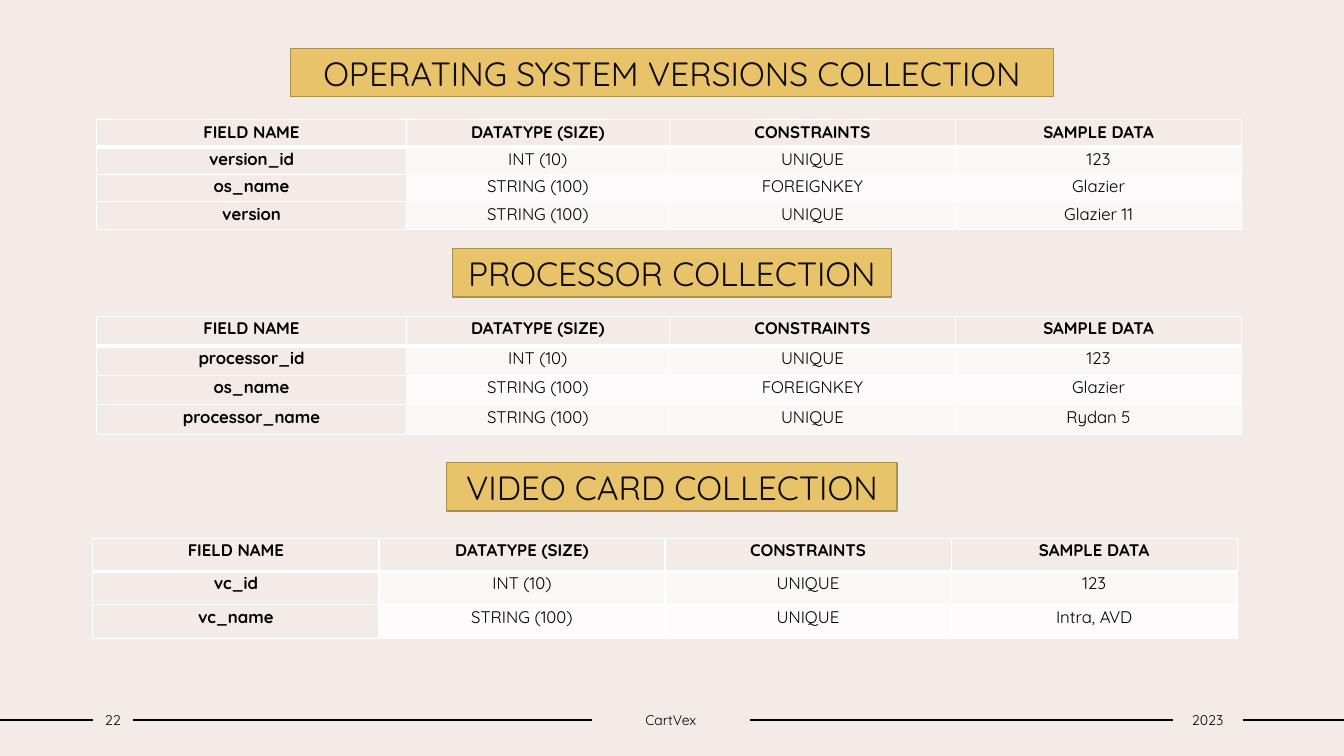
from lxml import etree
from pptx import Presentation, util as u
from pptx.dml.color import RGBColor
from pptx.enum import shapes, text
from pptx.oxml.ns import qn

FONT = "Quicksand"
BACKGROUND = RGBColor(0xF3, 0xEB, 0xE8)
BAND_ODD = RGBColor(0xFA, 0xF7, 0xF6)
BAND_EVEN = RGBColor(0xFD, 0xFB, 0xFB)
GOLD = RGBColor(0xE9, 0xC3, 0x69)
GOLD_EDGE = RGBColor(0xAC, 0x90, 0x4E)
BLACK = RGBColor(0, 0, 0)
HEADING_INK = RGBColor(0x0D, 0x0D, 0x0D)
WHITE = RGBColor(0xFF, 0xFF, 0xFF)

SLIDE_WIDTH, SLIDE_HEIGHT = 33.87, 19.05
HEADING_HEIGHT = 1.22
FOOTER_MIDDLE, FOOTER_HEIGHT = 18.14, 0.68

FIELDS = ["FIELD NAME", "DATATYPE (SIZE)", "CONSTRAINTS", "SAMPLE DATA"]
WIDE_FIRST = [7.8, 6.63, 7.21, 7.21]
EQUAL = [7.21] * 4

# heading, heading top, heading width, table left, table top, row height, columns, records
COLLECTIONS = [
    ("OPERATING SYSTEM VERSIONS COLLECTION", 1.22, 19.23, 2.44, 3.02, 0.69, WIDE_FIRST, [
        ["version_id", "INT (10)", "UNIQUE", "123"],
        ["os_name", "STRING (100)", "FOREIGNKEY", "Glazier"],
        ["version", "STRING (100)", "UNIQUE", "Glazier 11"],
    ]),
    ("PROCESSOR COLLECTION", 6.27, 11.07, 2.44, 7.98, 0.74, WIDE_FIRST, [
        ["processor_id", "INT (10)", "UNIQUE", "123"],
        ["os_name", "STRING (100)", "FOREIGNKEY", "Glazier"],
        ["processor_name", "STRING (100)", "UNIQUE", "Rydan 5"],
    ]),
    ("VIDEO CARD COLLECTION", 11.66, 11.35, 2.34, 13.56, 0.84, EQUAL, [
        ["vc_id", "INT (10)", "UNIQUE", "123"],
        ["vc_name", "STRING (100)", "UNIQUE", "Intra, AVD"],
    ]),
]

# footer text, left, width
FOOTER = [("22", 2.34, 1.01), ("CartVex", 14.91, 3.99), ("2023", 29.55, 1.77)]


class SlideBuilder:
    def __init__(self, presentation):
        self.slide = presentation.slides.add_slide(presentation.slide_layouts[5])
        fill = self.slide.background.fill
        fill.solid()
        fill.fore_color.rgb = BACKGROUND

    def add_words(self, frame, words, size, color=BLACK, bold=False):
        paragraph = frame.paragraphs[0]
        paragraph.alignment = text.PP_ALIGN.CENTER
        run = paragraph.add_run()
        run.text = words
        run.font.name = FONT
        run.font.size = u.Pt(size)
        run.font.bold = bold
        run.font.color.rgb = color
        return paragraph

    def heading(self, words, top, width, is_title):
        left = (SLIDE_WIDTH - width) / 2
        box = [u.Cm(value) for value in (left, top, width, HEADING_HEIGHT)]
        if is_title:
            shape = self.slide.shapes.title
            shape.left, shape.top, shape.width, shape.height = box
        else:
            shape = self.slide.shapes.add_shape(shapes.MSO_SHAPE.RECTANGLE, *box)
            shape.shadow.inherit = False
        shape.fill.solid()
        shape.fill.fore_color.rgb = GOLD
        shape.line.color.rgb = GOLD_EDGE
        shape.line.width = u.Pt(1)
        frame = shape.text_frame
        frame.auto_size = text.MSO_AUTO_SIZE.NONE
        frame.vertical_anchor = text.MSO_ANCHOR.MIDDLE
        self.add_words(frame, words, 24, HEADING_INK)

    def border(self, cell, side, width):
        line = etree.SubElement(cell._tc.get_or_add_tcPr(), qn("a:ln" + side), w=str(u.Pt(width)))
        fill = etree.SubElement(line, qn("a:solidFill"))
        etree.SubElement(fill, qn("a:srgbClr"), val=str(WHITE))

    def cell(self, cell, words, row, column):
        cell.margin_left = cell.margin_right = u.Cm(0.18)
        cell.margin_top = cell.margin_bottom = 0
        # The rule under the header is shared by the first two rows
        for side in "LRTB":
            under_header = (row, side) in ((0, "B"), (1, "T"))
            self.border(cell, side, 3 if under_header else 1)
        is_label = row == 0 or column == 0
        cell.fill.solid()
        cell.fill.fore_color.rgb = BACKGROUND if is_label else BAND_ODD if row % 2 else BAND_EVEN
        paragraph = self.add_words(cell.text_frame, words, 12, bold=is_label)
        paragraph.line_spacing = 1.07
        paragraph.space_after = u.Pt(8)

    def table(self, left, top, row_height, widths, rows):
        table = self.slide.shapes.add_table(
            len(rows), len(widths), u.Cm(left), u.Cm(top),
            u.Cm(sum(widths)), u.Cm(row_height * len(rows))).table
        for column, width in zip(table.columns, widths):
            column.width = u.Cm(width)
        for r, row in enumerate(rows):
            table.rows[r].height = u.Cm(row_height)
            for c, words in enumerate(row):
                self.cell(table.cell(r, c), words, r, c)

    def footer_text(self, words, left, width):
        shape = self.slide.shapes.add_textbox(
            u.Cm(left), u.Cm(FOOTER_MIDDLE - FOOTER_HEIGHT / 2), u.Cm(width), u.Cm(FOOTER_HEIGHT))
        frame = shape.text_frame
        frame.word_wrap = True
        frame.vertical_anchor = text.MSO_ANCHOR.MIDDLE
        frame.margin_left = frame.margin_right = 0
        self.add_words(frame, words, 10)
        return shape

    def footer_line(self, before, after):
        y = u.Cm(FOOTER_MIDDLE)
        line = self.slide.shapes.add_connector(
            shapes.MSO_CONNECTOR.STRAIGHT, 0, y, u.Cm(SLIDE_WIDTH), y)
        if before is not None:
            line.begin_connect(before, 3)
        if after is not None:
            line.end_connect(after, 1)
        line.line.color.rgb = BLACK
        line.line.width = u.Pt(1)
        etree.SubElement(line._element.spPr, qn("a:effectLst"))


def main():
    presentation = Presentation()
    presentation.slide_width = u.Cm(SLIDE_WIDTH)
    presentation.slide_height = u.Cm(SLIDE_HEIGHT)
    builder = SlideBuilder(presentation)

    # Headings with their tables
    for index, (name, heading_top, width, left, top, height, widths, records) in enumerate(COLLECTIONS):
        builder.heading(name, heading_top, width, is_title=index == 0)
        builder.table(left, top, height, widths, [FIELDS] + records)

    # Footer: lines run from edge to edge between the texts
    boxes = [builder.footer_text(*entry) for entry in FOOTER]
    for before, after in zip([None] + boxes, boxes + [None]):
        builder.footer_line(before, after)

    presentation.save("out.pptx")


if __name__ == "__main__":
    main()
